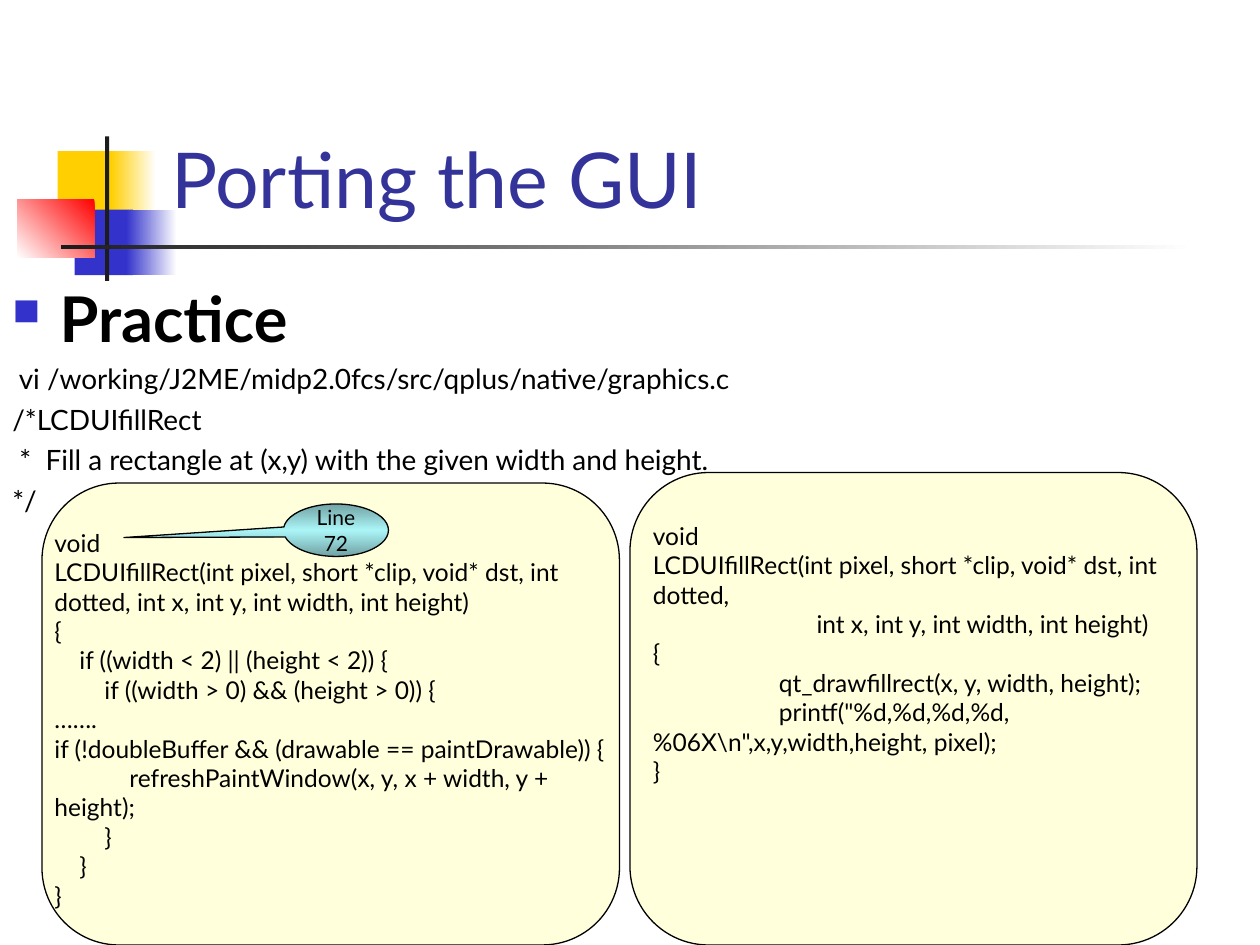
from dataclasses import dataclass

from lxml import etree
from pptx import Presentation
from pptx import util as u
from pptx.dml.color import RGBColor
from pptx.enum import shapes, text
from pptx.oxml.ns import qn

SHAPE = shapes.MSO_SHAPE


@dataclass(frozen=True)
class Theme:
    font: str = "Lato"
    title: str = "333399"
    ink: str = "000000"
    blue: str = "3333CC"
    yellow: str = "FFCF01"
    red: str = "FF0000"
    white: str = "FFFFFF"
    dark: str = "1C1C1C"
    panel: str = "FFFFCC"
    callout_edge: str = "71A2A4"
    callout_mid: str = "ABF5F7"
    title_size: int = 44
    heading_size: int = 36
    body_size: int = 16
    code_size: int = 14
    label_size: int = 12


class SlideBuilder:
    def __init__(self, slide, theme):
        self.slide = slide
        self.theme = theme

    def style(self, para, size, color=None, bold=False):
        para.font.name = self.theme.font
        para.font.size = u.Pt(size)
        para.font.bold = bold
        para.font.color.rgb = RGBColor.from_string(color or self.theme.ink)

    def shape(self, kind, area, fill=None, alpha=None, outlined=False):
        shape = self.slide.shapes.add_shape(kind, *map(u.Pt, area))
        shape.shadow.inherit = False
        if fill:
            shape.fill.solid()
            shape.fill.fore_color.rgb = RGBColor.from_string(fill)
        if alpha:
            color = shape.element.spPr.find(f"{qn('a:solidFill')}/{qn('a:srgbClr')}")
            etree.SubElement(color, qn("a:alpha"), val=str(alpha * 1000))
        if outlined:
            shape.line.color.rgb = RGBColor.from_string(self.theme.ink)
            shape.line.width = u.Pt(0.75)
        else:
            shape.line.fill.background()
        return shape

    def gradient(self, shape, colors, angle):
        """Spread the colours evenly; the angle runs clockwise."""
        shape.fill.gradient()
        shape.fill.gradient_angle = -angle % 360
        stops = shape.element.spPr.find(f"{qn('a:gradFill')}/{qn('a:gsLst')}")
        for stop in list(stops):
            stops.remove(stop)
        for index, color in enumerate(colors):
            position = 100000 * index // (len(colors) - 1)
            stop = etree.SubElement(stops, qn("a:gs"), pos=str(position))
            etree.SubElement(stop, qn("a:srgbClr"), val=color)

    def title(self, wording, area):
        title = self.slide.shapes.title
        title.left, title.top, title.width, title.height = map(u.Pt, area)
        frame = title.text_frame
        frame.text = wording
        frame.auto_size = text.MSO_AUTO_SIZE.NONE
        frame.vertical_anchor = text.MSO_ANCHOR.BOTTOM
        para = frame.paragraphs[0]
        para.alignment = text.PP_ALIGN.LEFT
        self.style(para, self.theme.title_size, self.theme.title)
        # Bring the title in front of the ornament
        title.element.getparent().append(title.element)

    def text_box(self, area, lines, size, space_before=0):
        """Write lines given as (first-line indent, wording)."""
        box = self.slide.shapes.add_textbox(*map(u.Pt, area))
        frame = box.text_frame
        frame.word_wrap = True
        for index, (indent, wording) in enumerate(lines):
            para = frame.add_paragraph() if index else frame.paragraphs[0]
            para.text = wording
            para.space_before = u.Pt(space_before)
            self.style(para, size)
            if indent:
                para._p.get_or_add_pPr().set("indent", str(u.Pt(indent)))
        return box

    def heading(self, para, indent):
        """Turn a paragraph into a heading with a square bullet."""
        self.style(para, self.theme.heading_size, bold=True)
        para.space_before = u.Pt(9)
        props = para._p.get_or_add_pPr()
        props.set("marL", str(u.Pt(indent)))
        props.set("indent", str(-u.Pt(indent)))
        color = etree.Element(qn("a:buClr"))
        etree.SubElement(color, qn("a:srgbClr"), val=self.theme.blue)
        size = etree.Element(qn("a:buSzPct"), val="60000")
        mark = etree.Element(qn("a:buChar"), char="■")
        font = props.find(qn("a:defRPr"))
        for part in (color, size, mark):
            font.addprevious(part)

    def callout(self, area, wording, tip):
        shape = self.shape(SHAPE.OVAL_CALLOUT, area, outlined=True)
        edge = self.theme.callout_edge
        self.gradient(shape, (edge, self.theme.callout_mid, edge), 90)
        shape.adjustments[0], shape.adjustments[1] = tip
        frame = shape.text_frame
        frame.word_wrap = True
        frame.vertical_anchor = text.MSO_ANCHOR.MIDDLE
        para = frame.paragraphs[0]
        para.text = wording
        para.alignment = text.PP_ALIGN.CENTER
        self.style(para, self.theme.label_size)


def main():
    theme = Theme()
    deck = Presentation()
    deck.slide_width, deck.slide_height = u.Pt(720), u.Pt(540)
    page = SlideBuilder(deck.slides.add_slide(deck.slide_layouts[5]), theme)

    # Ornament: solid and fading blocks with a cross of two bars
    ornament = [
        ((33, 86.4, 34.8, 37.4), (theme.yellow,), 0),
        ((63.4, 86.4, 25.8, 37.4), (theme.white, theme.yellow), 180),
        ((42.6, 119.8, 33.4, 37.4), (theme.blue,), 0),
        ((72.2, 119.8, 28.8, 37.4), (theme.white, theme.blue), 180),
        ((9.8, 113.8, 44.2, 33.4), (theme.red, theme.white), 135),
        ((60, 78, 2.4, 82.6), (theme.dark,), 0),
        ((34.8, 140, 648, 2.5), (theme.white, theme.dark), 180),
    ]
    for area, colors, angle in ornament:
        block = page.shape(SHAPE.RECTANGLE, area, fill=colors[0])
        if len(colors) > 1:
            page.gradient(block, colors, angle)

    # Panels behind the code
    for area in ((360, 270, 324, 270), (24, 276, 330, 264)):
        page.shape(SHAPE.FLOWCHART_ALTERNATE_PROCESS, area, theme.panel,
                   alpha=70, outlined=True)

    # Title and introduction
    page.title("Porting the GUI", (90.6, 16.6, 613.4, 115.2))
    intro = page.text_box((0, 156, 681, 324), [
        (0, "Practice"),
        (0, " vi /working/J2ME/midp2.0fcs/src/qplus/native/graphics.c"),
        (0, "/*LCDUIfillRect"),
        (0, " *  Fill a rectangle at (x,y) with the given width and height."),
        (0, "*/"),
    ], theme.body_size, space_before=4)
    page.heading(intro.text_frame.paragraphs[0], 27)

    # New code on the right
    tab = 72
    page.text_box((366, 294, 312, 175.6), [
        (0, "void"),
        (0, "LCDUIfillRect(int pixel, short *clip, void* dst, int dotted,"),
        (tab + 21.5, "int x, int y, int width, int height)"),
        (0, "{"),
        (tab, "qt_drawfillrect(x, y, width, height);"),
        (tab, 'printf("%d,%d,%d,%d, %06X\\n",x,y,width,height, pixel);'),
        (0, "}"),
    ], theme.code_size)

    # Line marker
    page.callout((162, 288, 60, 30), "Line 72", (-2.02, 0.14))

    # Old code on the left
    step = 14.3
    page.text_box((24, 298, 342, 242.6), [
        (0, "void"),
        (0, "LCDUIfillRect(int pixel, short *clip, void* dst, int dotted, "
            "int x, int y, int width, int height)"),
        (0, "{"),
        (step, "if ((width < 2) || (height < 2)) {"),
        (2 * step, "if ((width > 0) && (height > 0)) {"),
        (0, "……."),
        (0, "if (!doubleBuffer && (drawable == paintDrawable)) {"),
        (3 * step, "refreshPaintWindow(x, y, x + width, y + height);"),
        (2 * step, "}"),
        (step, "}"),
        (0, "}"),
    ], theme.code_size)

    deck.save("out.pptx")


if __name__ == "__main__":
    main()
